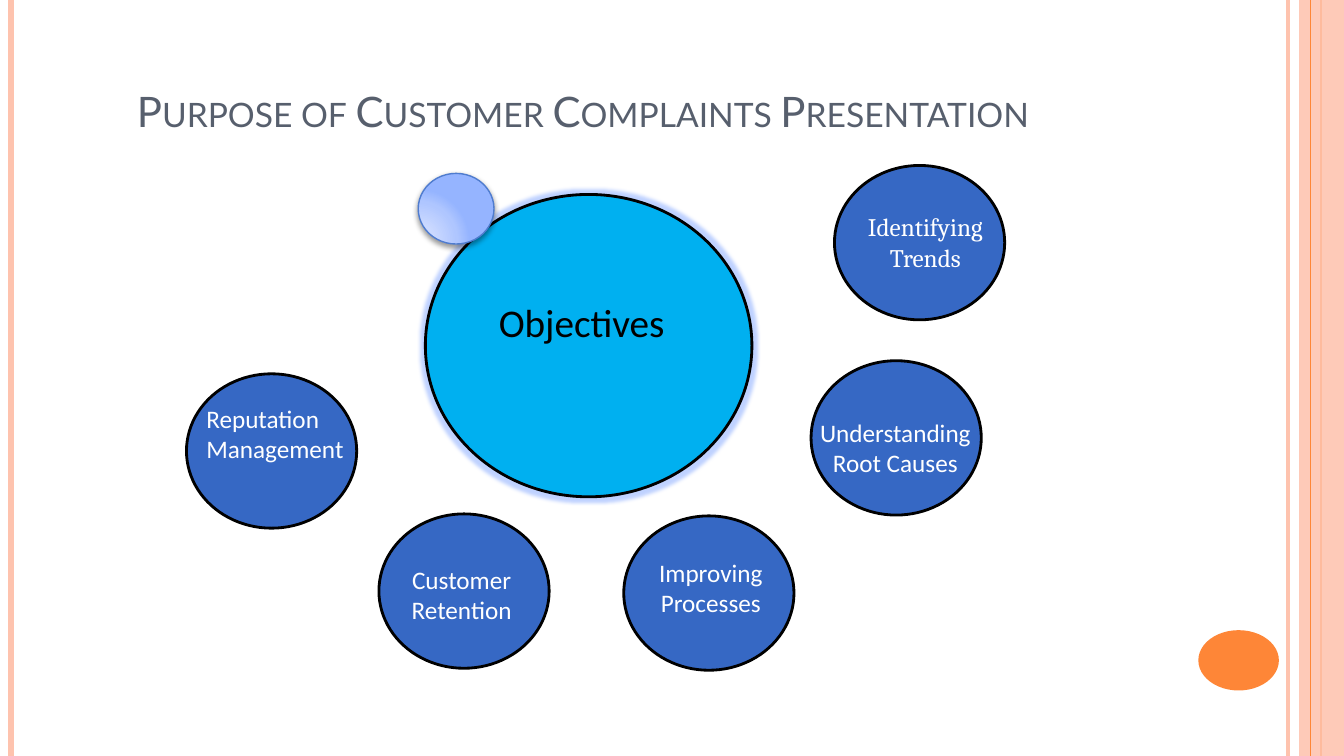
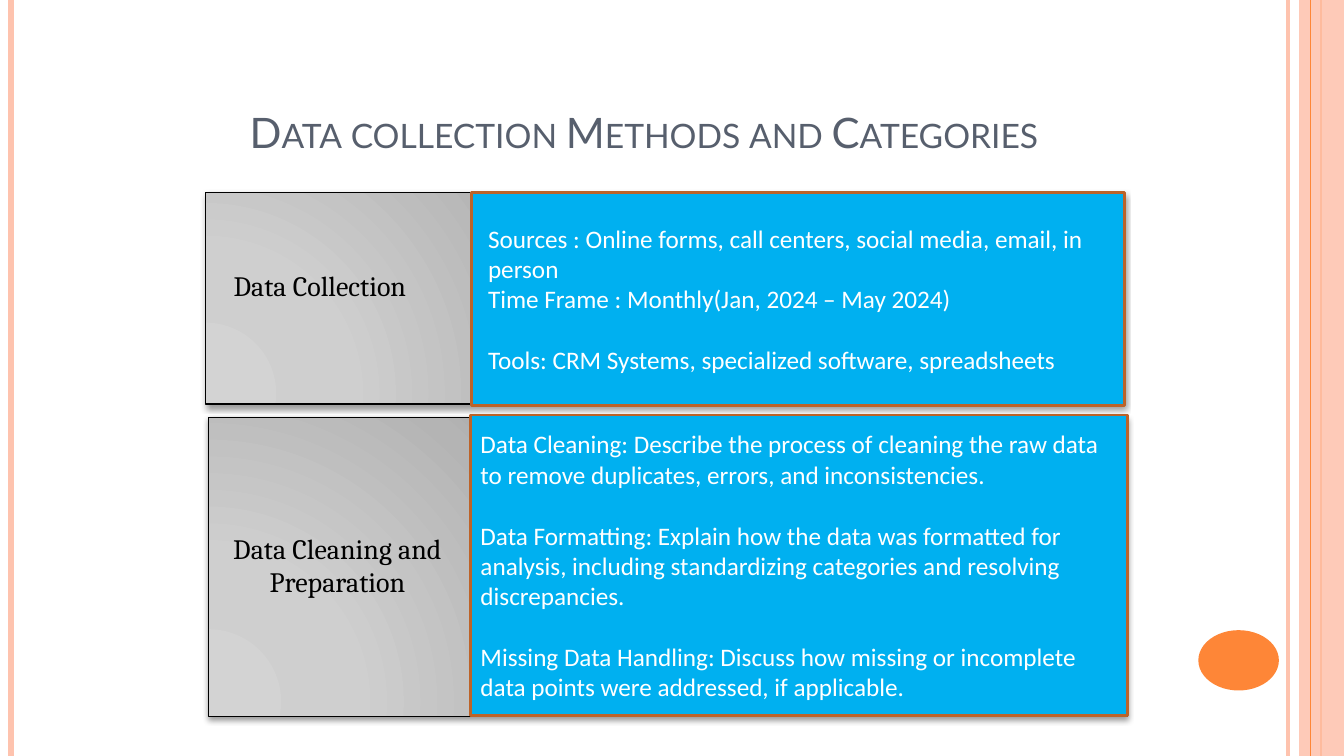
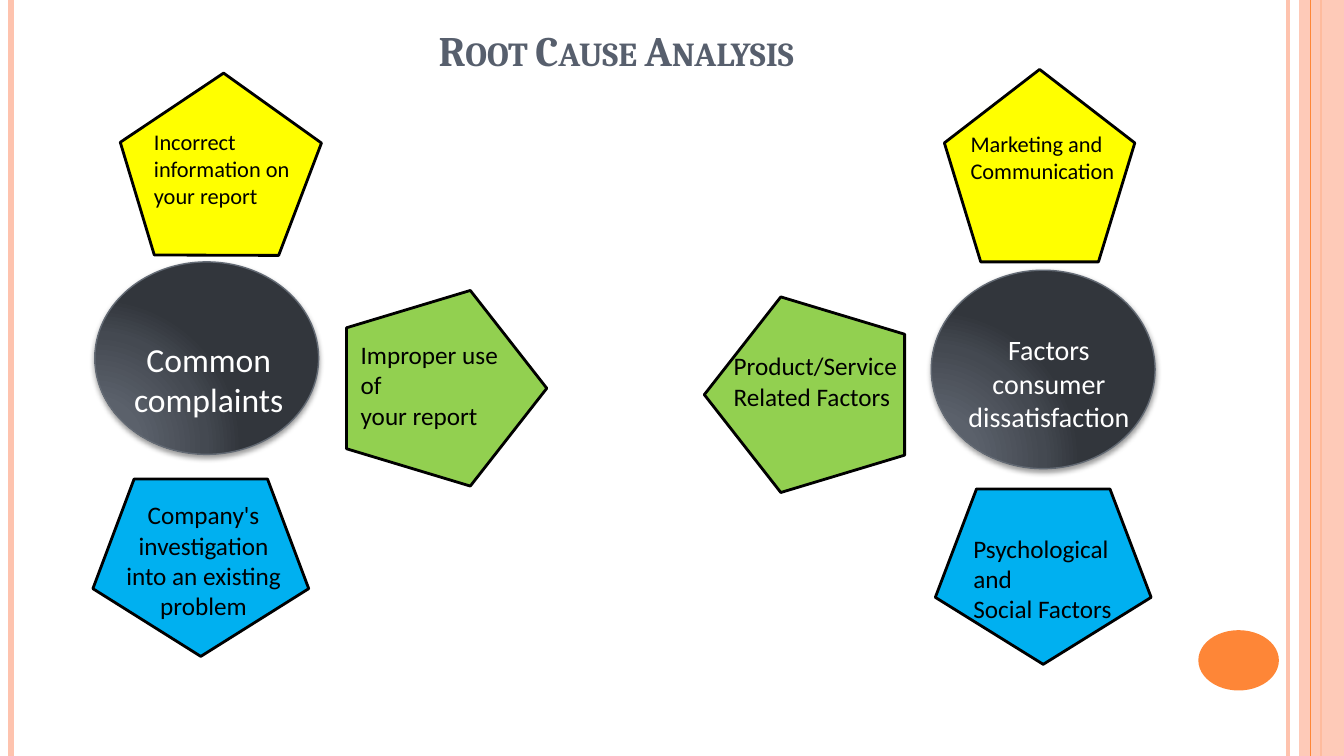
from pptx import Presentation
from pptx.dml.color import RGBColor
from pptx.enum.shapes import MSO_CONNECTOR, MSO_SHAPE
from pptx.enum.text import MSO_ANCHOR, PP_ALIGN
from pptx.oxml import parse_xml
from pptx.oxml.ns import nsdecls, qn
from pptx.util import Cm, Pt

STRAIGHT = MSO_CONNECTOR.STRAIGHT
ELLIPSE = MSO_SHAPE.OVAL
RECTANGLE = MSO_SHAPE.RECTANGLE
PENTAGON = MSO_SHAPE.REGULAR_PENTAGON
LEFT, CENTER = PP_ALIGN.LEFT, PP_ALIGN.CENTER
TOP, MIDDLE, BOTTOM = MSO_ANCHOR.TOP, MSO_ANCHOR.MIDDLE, MSO_ANCHOR.BOTTOM

WIDTH, HEIGHT = 33.87, 19.05
BLACK, WHITE = "000000", "FFFFFF"
PEACH, ORANGE, RUST, SLATE = "FEC3AE", "FE8637", "BC6329", "575F6D"
SKY, BLUE, YELLOW, GREEN = "00B0F0", "3668C4", "FFFF00", "92D050"
SILVER_STOPS = ("D3D3D3", "CFCFCF", "B4B4B4", "979797")
BUBBLE_STOPS = ("CFDCFF", "CBD9FF", "AFC6FF", "95B4FF")
CHARCOAL_STOPS = ("5E656F", "5B616B", "444951", "32363C")
STOP_POSITIONS = (0, 30, 75, 100)


def color(hex_text):
    return RGBColor.from_string(hex_text)


def write(frame, text, size=18, font="Calibri", fill=WHITE, align=LEFT,
          anchor=TOP, bold=False, small_caps=False, gaps=()):
    frame.word_wrap = True
    frame.vertical_anchor = anchor
    for index, line in enumerate(text.split("\n")):
        paragraph = frame.paragraphs[0] if index == 0 else frame.add_paragraph()
        paragraph.alignment = align
        if index in gaps:
            paragraph.space_before = Pt(22)
        run = paragraph.add_run()
        run.text = line
        run.font.size = Pt(size)
        run.font.name = font
        run.font.bold = bold
        run.font.color.rgb = color(fill)
        if small_caps:
            run._r.get_or_add_rPr().set("cap", "small")


class Deck:
    def __init__(self):
        self.presentation = Presentation()
        self.presentation.slide_width = Cm(WIDTH)
        self.presentation.slide_height = Cm(HEIGHT)
        self.slide = None

    def new_slide(self, title, box, align=CENTER, font="Lato", bold=False):
        layout = self.presentation.slide_layouts[6]
        self.slide = self.presentation.slides.add_slide(layout)
        for x, stroke, width in ((32.46, PEACH, 3), (0.28, PEACH, 4.5), (33.3, ORANGE, 1.5)):
            self.vertical_line(x, stroke, width)
        band = self.shape(RECTANGLE, (32.74, 0, 1.13, HEIGHT), PEACH)
        self.set_opacity(band, 87)
        self.vertical_line(33.02, ORANGE, 0.75)
        self.shape(ELLIPSE, (30.2, 15.88, 2.03, 1.52), ORANGE)
        self.text(title, box, size=30, font=font, fill=SLATE, align=align,
                  anchor=BOTTOM, bold=bold, small_caps=True)

    def vertical_line(self, x, stroke, width):
        line = self.slide.shapes.add_connector(STRAIGHT, Cm(x), 0, Cm(x), Cm(HEIGHT))
        line.line.color.rgb = color(stroke)
        line.line.width = Pt(width)
        line._element.spPr.append(parse_xml(f'<a:effectLst {nsdecls("a")}/>'))

    def shape(self, kind, box, fill, stroke=None, width=2, rotation=0):
        shape = self.slide.shapes.add_shape(kind, *map(Cm, box))
        shape.shadow.inherit = False
        shape.rotation = rotation
        shape.fill.solid()
        shape.fill.fore_color.rgb = color(fill)
        if stroke:
            shape.line.color.rgb = color(stroke)
            shape.line.width = Pt(width)
        else:
            shape.line.fill.background()
        return shape

    def shaded(self, kind, box, stops, stroke):
        shape = self.shape(kind, box, stops[0], stroke, 1)
        stop_xml = "".join(
            f'<a:gs pos="{position * 1000}"><a:srgbClr val="{stop}"/></a:gs>'
            for position, stop in zip(STOP_POSITIONS, stops))
        gradient = parse_xml(
            f'<a:gradFill {nsdecls("a")} rotWithShape="1"><a:gsLst>{stop_xml}</a:gsLst>'
            '<a:path path="circle">'
            '<a:fillToRect l="5000" t="100000" r="120000" b="10000"/>'
            '</a:path></a:gradFill>')
        properties = shape._element.spPr
        properties.replace(properties.find(qn("a:solidFill")), gradient)
        self.add_effect(shape, "outerShdw", BLACK, 40,
                        f'blurRad="{Pt(4)}" dist="{Pt(2)}" dir="5400000" rotWithShape="0"')

    def add_effect(self, shape, tag, tint, opacity, settings):
        effects = shape._element.spPr.find(qn("a:effectLst"))
        effects.append(parse_xml(
            f'<a:{tag} {nsdecls("a")} {settings}><a:srgbClr val="{tint}">'
            f'<a:alpha val="{opacity * 1000}"/></a:srgbClr></a:{tag}>'))

    def set_opacity(self, shape, percent):
        fill = shape._element.spPr.find(qn("a:solidFill"))
        fill[0].append(parse_xml(f'<a:alpha {nsdecls("a")} val="{percent * 1000}"/>'))

    def text(self, text, box, **style):
        text_box = self.slide.shapes.add_textbox(*map(Cm, box))
        write(text_box.text_frame, text, **style)

    def panel(self, text, box, inset, gaps):
        panel = self.shape(RECTANGLE, box, SKY, RUST)
        panel.text_frame.margin_left = Cm(inset)
        write(panel.text_frame, text, anchor=MIDDLE, gaps=gaps)


def build_purpose(deck):
    deck.new_slide("Purpose of Customer Complaints Presentation",
                   (3.2, 1.3, 26.97, 2.26), align=LEFT)
    objectives = deck.shape(ELLIPSE, (10.72, 4.9, 8.23, 7.62), SKY, BLACK)
    deck.add_effect(objectives, "glow", "95B4FF", 60, f'rad="{Pt(5)}"')
    deck.text("Objectives", (12.32, 7.39, 4.9, 1.45), size=28, fill=BLACK)
    goals = (
        ("Identifying Trends", 21.03, 4.17, (21.06, 5.21, 4.52, 1.8), CENTER, "Cambria"),
        ("Understanding Root Causes", 20.44, 9.09, (20.14, 10.39, 4.85, 1.8), CENTER, "Calibri"),
        ("Improving Processes", 15.72, 13, (16.1, 13.92, 3.63, 1.8), CENTER, "Calibri"),
        ("Customer Retention", 9.55, 12.95, (9.4, 14.1, 4.47, 1.8), CENTER, "Calibri"),
        ("Reputation Management", 4.7, 9.42, (4.95, 10.03, 4.06, 1.8), LEFT, "Calibri"),
    )
    for goal, left, top, text_box, align, font in goals:
        deck.shape(ELLIPSE, (left, top, 4.29, 3.89), BLUE, BLACK)
        deck.text(goal, text_box, align=align, font=font)
    deck.shaded(ELLIPSE, (10.54, 4.37, 1.91, 1.78), BUBBLE_STOPS, "4F7CCF")


def build_methods(deck):
    deck.new_slide("Data collection Methods and Categories", (3.02, 2.13, 26.42, 1.96))
    collection = (
        "Sources : Online forms, call centers, social media, email, in person\n"
        "Time Frame : Monthly(Jan, 2024 – May 2024)\n"
        "Tools: CRM Systems, specialized software, spreadsheets")
    preparation = (
        "Data Cleaning: Describe the process of cleaning the raw data to remove "
        "duplicates, errors, and inconsistencies.\n"
        "Data Formatting: Explain how the data was formatted for analysis, including "
        "standardizing categories and resolving discrepancies.\n"
        "Missing Data Handling: Discuss how missing or incomplete data points were "
        "addressed, if applicable.")
    rows = (
        ("Data Collection", (5.64, 6.63, 5.89, 1.12), LEFT, (5.18, 4.85, 23.16, 5.33),
         collection, (11.89, 4.85, 16.46, 5.36), 0.41, (2,)),
        ("Data Cleaning and Preparation", (5.18, 13.26, 6.65, 1.96), CENTER,
         (5.26, 10.52, 23.16, 7.54), preparation, (11.86, 10.46, 16.56, 7.57), 0.25, (1, 2)),
    )
    for label, label_box, align, frame_box, details, panel_box, inset, gaps in rows:
        deck.shaded(RECTANGLE, frame_box, SILVER_STOPS, BLACK)
        deck.panel(details, panel_box, inset, gaps)
        deck.text(label, label_box, size=20, font="Cambria", fill=BLACK, align=align)


def build_root_causes(deck):
    deck.new_slide("Root Cause Analysis", (1.7, 0, 27.66, 2.01), font="Cambria", bold=True)
    hubs = (
        ("Common complaints", (2.39, 6.6, 5.64, 4.85), (2.62, 8.41, 5.28, 2.31), 24),
        ("Factors\nconsumer dissatisfaction", (23.47, 6.81, 5.64, 5),
         (23.83, 8.26, 5.21, 2.82), 20),
    )
    for hub, box, text_box, size in hubs:
        deck.shaded(ELLIPSE, box, CHARCOAL_STOPS, "636A74")
        deck.text(hub, text_box, size=size, align=CENTER)
    causes = (
        ("Incorrect information on your report", YELLOW, (3.38, 1.88, 4.8, 4.85), 73.2,
         (3.63, 3.1, 3.99, 2.31), 16, LEFT),
        ("Improper use of\nyour report", GREEN, (8.79, 7.26, 4.93, 5.05), 90,
         (8.84, 8.43, 4.42, 3.33), 18, LEFT),
        ("Company's investigation\ninto an existing problem", SKY, (2.34, 12.07, 5.44, 4.47), 180,
         (2.36, 12.47, 5.54, 4.88), 18, CENTER),
        ("Marketing and Communication", YELLOW, (23.8, 1.75, 4.8, 4.85), 0,
         (24.21, 3.15, 4.39, 1.63), 16, LEFT),
        ("Product/Service Related Factors", GREEN, (17.81, 7.42, 4.93, 5.05), 270,
         (18.24, 8.71, 4.78, 1.8), 18, LEFT),
        ("Psychological and\nSocial Factors", SKY, (23.57, 12.32, 5.44, 4.42), 180,
         (24.28, 13.31, 4.24, 2.57), 18, LEFT),
    )
    for cause, fill, box, rotation, text_box, size, align in causes:
        deck.shape(PENTAGON, box, fill, BLACK, rotation=rotation)
        deck.text(cause, text_box, size=size, fill=BLACK, align=align)


def main():
    deck = Deck()
    build_purpose(deck)
    build_methods(deck)
    build_root_causes(deck)
    deck.presentation.save("out.pptx")


if __name__ == "__main__":
    main()
